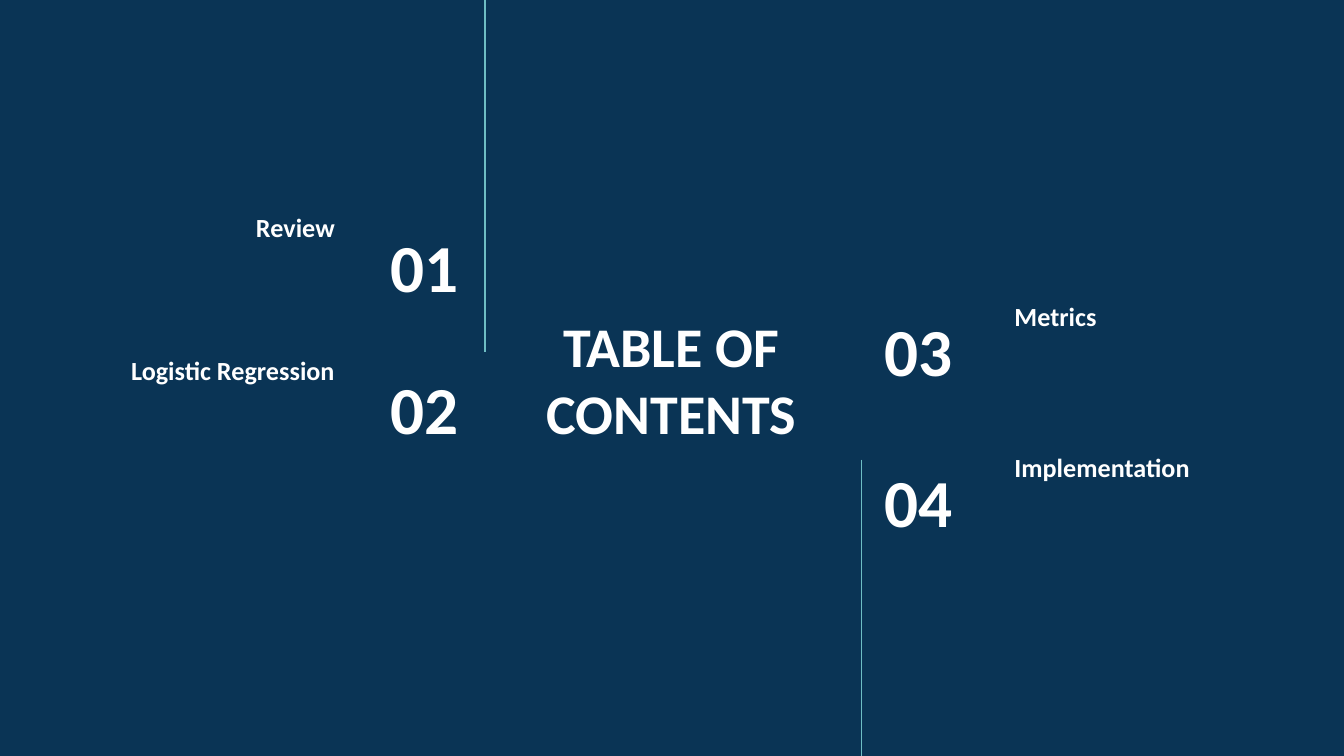
from pptx import Presentation
from pptx import util as u
from pptx.dml.color import RGBColor
from pptx.enum import shapes, text
from pptx.oxml.ns import qn
from lxml import etree

NAVY = RGBColor(0x0A, 0x34, 0x55)
TEAL = RGBColor(0x6E, 0xBD, 0xC4)
WHITE = RGBColor(0xFF, 0xFF, 0xFF)
LEFT, CENTER, RIGHT = text.PP_ALIGN.LEFT, text.PP_ALIGN.CENTER, text.PP_ALIGN.RIGHT
MIDDLE, BOTTOM = text.MSO_ANCHOR.MIDDLE, text.MSO_ANCHOR.BOTTOM
WIDTH = 10
HEIGHT = WIDTH * 9 / 16
ROW_HEIGHT = 0.63
LABEL_WIDTH = 2.16

presentation = Presentation()
presentation.slide_width = u.Inches(WIDTH)
presentation.slide_height = u.Inches(HEIGHT)
slide = presentation.slides.add_slide(presentation.slide_layouts[6])
slide.background.fill.solid()
slide.background.fill.fore_color.rgb = NAVY


def add_text(words, left, top, width, height, size, align, anchor):
    box = slide.shapes.add_textbox(*map(u.Inches, (left, top, width, height)))
    frame = box.text_frame
    frame.word_wrap = True
    frame.vertical_anchor = anchor
    frame.margin_left = frame.margin_right = u.Inches(0.1)
    frame.margin_top = frame.margin_bottom = u.Inches(0.1)
    frame.text = words
    paragraph = frame.paragraphs[0]
    paragraph.alignment = align
    font = paragraph.runs[0].font
    font.name, font.size, font.bold = "Calibri", u.Pt(size), True
    font.color.rgb = WHITE


add_text("TABLE OF CONTENTS", 3.7, 2.3, 2.59, 1.03, 30, CENTER, MIDDLE)

columns = [
    (0.43, 2.3, 1.21, RIGHT, 1.28, 1.06, 0.38, [("01", "Review"), ("02", "Logistic Regression")]),
    (7.45, 6.48, 1.17, LEFT, 1.94, 1.12, 0.35, [("03", "Metrics"), ("04", "Implementation")]),
]
for label_left, number_left, number_width, align, first_top, pitch, drop, sections in columns:
    for row, (number, label) in enumerate(sections):
        top = first_top + row * pitch
        add_text(label, label_left, top, LABEL_WIDTH, ROW_HEIGHT, 14, align, BOTTOM)
        add_text(number, number_left, top + drop, number_width, ROW_HEIGHT, 36, align, MIDDLE)

for x, start, end in [(3.61, 0, 2.62), (6.41, 3.42, HEIGHT)]:
    rule = slide.shapes.add_connector(
        shapes.MSO_CONNECTOR.STRAIGHT, *map(u.Inches, (x, start, x, end)))
    rule.line.color.rgb = TEAL
    rule.line.width = u.Pt(0.75)
    etree.SubElement(rule._element.spPr, qn("a:effectLst"))

presentation.save("out.pptx")
